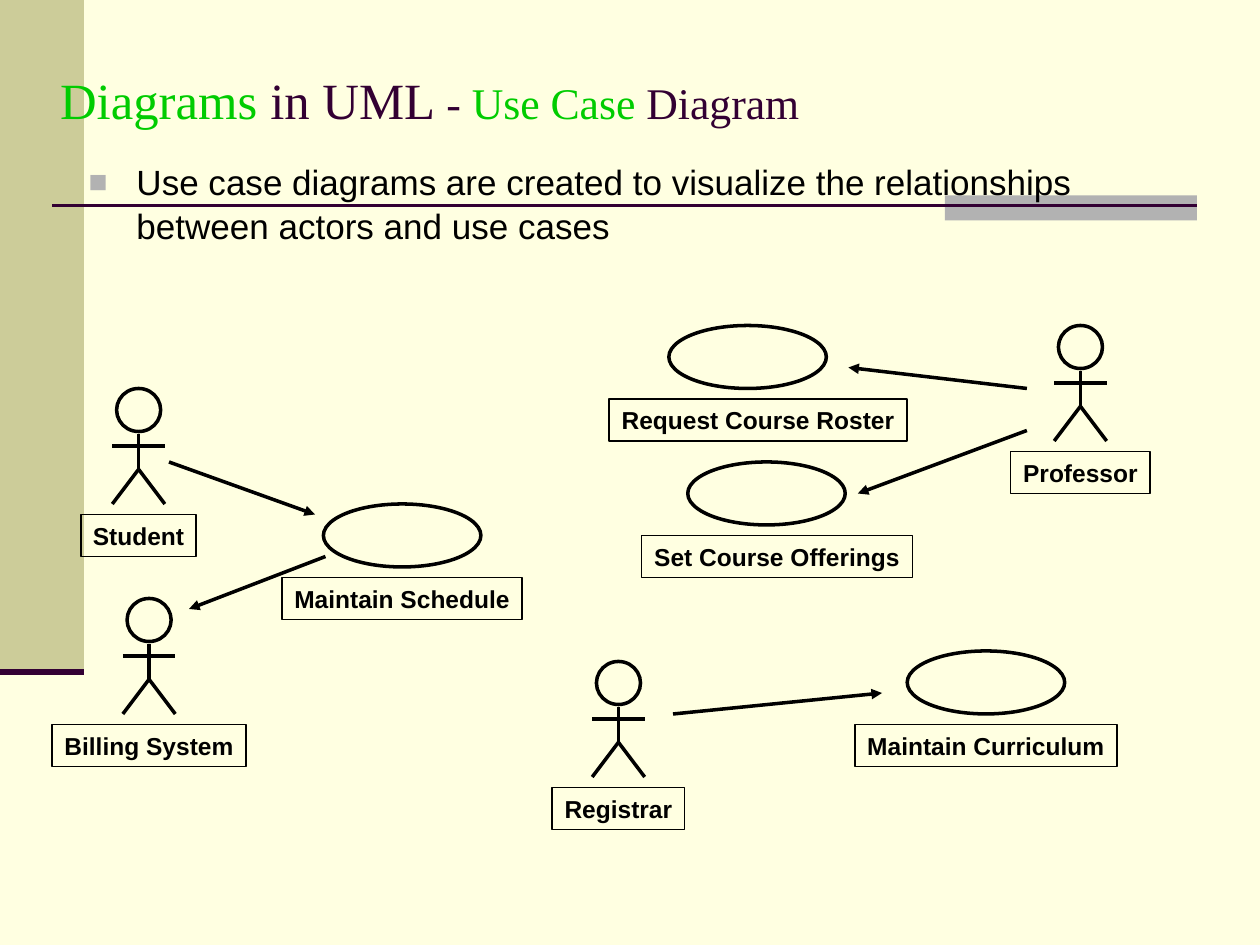
from lxml.etree import SubElement as Sub
from pptx import Presentation
from pptx.dml.color import RGBColor as RGB
from pptx.enum.shapes import MSO_CONNECTOR as CONN, MSO_SHAPE as SHAPE
from pptx.enum.text import MSO_ANCHOR as ANCHOR, PP_ALIGN as ALIGN
from pptx.oxml.ns import qn
from pptx.util import Inches, Pt

# Content: places are columns and rows of a grid of 120 by 90 cells
INK = {"page": "FFFFE1", "band": "CCCC99", "gray": "B2B2B2",
       "plum": "330033", "green": "00CC00", "black": "000000"}
TITLE = [("Diagrams", 29, "green"), (" in UML ", 29, "plum"), ("- ", 25, "plum"),
         ("Use Case", 25, "green"), (" Diagram", 25, "plum")]
BODY = ("Use case diagrams are created to visualize the relationships "
        "between actors and use cases")
# name, centre column, top row, label width
ACTORS = [("Student", 13.2, 37, 11), ("Registrar", 58.9, 63, 12.6),
          ("Professor", 102.9, 31, 13.3), ("Billing System", 14.2, 57, 18.5)]
# name, oval centre, label centre, top row, label width
CASES = [("Maintain Schedule", 38.3, 38.3, 48, 22.9),
         ("Maintain Curriculum", 93.9, 93.9, 62, 25),
         ("Request Course Roster", 71.2, 72.2, 31, 28.4),
         ("Set Course Offerings", 73, 74, 44, 25.8)]
ARROWS = [(97.8, 37, 80.8, 35), (16.1, 44, 30, 49), (31, 53, 18, 58),
          (64.1, 68, 84, 66), (97.8, 41, 81.7, 47)]
# Stick figure strokes, from the centre and top of the head
LIMBS = [(0, 7.7, -2.5, 11), (0, 7.7, 2.5, 11), (0, 4.3, 0, 7.7), (-2.5, 5.5, 2.5, 5.5)]

deck = Presentation()
deck.slide_width, deck.slide_height = Inches(10), Inches(7.5)
CELL = deck.slide_width / 120
slide = deck.slides.add_slide(deck.slide_layouts[6])
slide.background.fill.solid()
slide.background.fill.fore_color.rgb = RGB.from_string(INK["page"])


def grid(*cells):
    return [round(c * CELL) for c in cells]


def shape(kind, box, fill=None, width=None):
    item = slide.shapes.add_shape(kind, *grid(*box))
    item.shadow.inherit = False
    if fill:
        item.fill.solid()
        item.fill.fore_color.rgb = RGB.from_string(INK[fill])
    else:
        item.fill.background()
    if width:
        item.line.color.rgb = RGB.from_string(INK["black"])
        item.line.width = Pt(width)
    else:
        item.line.fill.background()
    return item


def line(ends, color="black", width=2, head=False):
    item = slide.shapes.add_connector(CONN.STRAIGHT, *grid(*ends))
    item.line.color.rgb = RGB.from_string(INK[color])
    item.line.width = Pt(width)
    if head:
        Sub(item.line._get_or_add_ln(), qn("a:tailEnd"), type="triangle")
    Sub(item._element.spPr, qn("a:effectLst"))


def style(font, name, size, color, bold=False):
    font.name, font.size, font.bold = name, Pt(size), bold
    font.color.rgb = RGB.from_string(INK[color])


def frame(box, side, top):
    text = slide.shapes.add_textbox(*grid(*box)).text_frame
    text.word_wrap = True
    text.margin_left = text.margin_right = Inches(side)
    text.margin_top = text.margin_bottom = Inches(top)
    return text


def label(name, mid, top, width):
    text = shape(SHAPE.RECTANGLE, (mid - width / 2, top, width, 4), width=1).text_frame
    text.word_wrap = False
    text.vertical_anchor = ANCHOR.MIDDLE
    para = text.paragraphs[0]
    para.text, para.alignment = name, ALIGN.CENTER
    style(para.font, "Arial", 14, "black", True)


# Side band and rules
shape(SHAPE.RECTANGLE, (0, 0, 8, 64), "band")
shape(SHAPE.RECTANGLE, (90, 18.6, 24, 2.4), "gray")
line((5, 19.6, 114, 19.6), "plum", 1.5)
line((0, 64, 8, 64), "plum", 3.5)

# Title
text = frame((5, 6, 104, 7), 0.06, 0.02)
text.vertical_anchor = ANCHOR.MIDDLE
for words, size, color in TITLE:
    run = text.paragraphs[0].add_run()
    run.text = words
    style(run.font, "Times New Roman", size, color)

# Bullet
para = frame((7, 14.4, 107, 11.6), 0.12, 0.06).paragraphs[0]
para.text, para.line_spacing = BODY, 1.05
props = para._p.get_or_add_pPr()
props.set("marL", str(Inches(0.38)))
props.set("indent", str(-Inches(0.38)))
Sub(Sub(props, qn("a:buClr")), qn("a:srgbClr"), val=INK["gray"])
Sub(props, qn("a:buSzPct"), val="90000")
Sub(props, qn("a:buFont"), typeface="Arial")
Sub(props, qn("a:buChar"), char="■")
style(para.font, "Arial", 20, "black")

# Actors
for name, mid, top, width in ACTORS:
    shape(SHAPE.OVAL, (mid - 2.1, top, 4.2, 4.1), width=2)
    for x1, y1, x2, y2 in LIMBS:
        line((mid + x1, top + y1, mid + x2, top + y2))
    label(name, mid, top + 12, width)

# Use cases
for name, mid, under, top, width in CASES:
    shape(SHAPE.OVAL, (mid - 7.5, top, 15, 6), width=2)
    label(name, under, top + 7, width)

# Relationships
for ends in ARROWS:
    line(ends, head=True)

deck.save("out.pptx")
